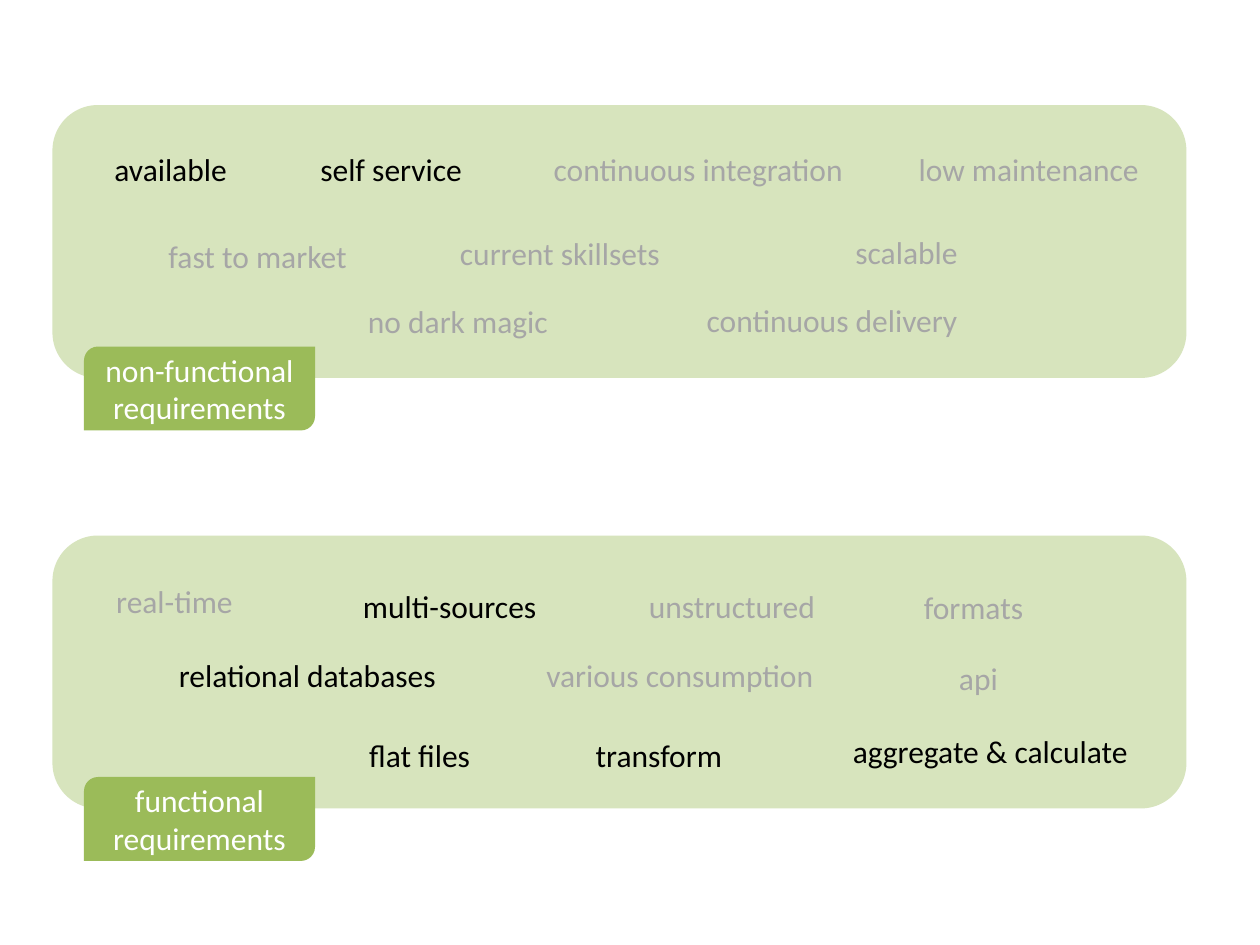
from pptx import Presentation
from pptx.dml.color import RGBColor
from pptx.enum import shapes, text
from pptx.util import Pt

PANEL_FILL, TAG_FILL = "D7E4BD", "9BBB59"
ACTIVE, MUTED, WHITE = "000000", "A6A6A6", "FFFFFF"

PANEL_LEFT, PANEL_WIDTH, PANEL_HEIGHT = 30, 648, 156
TAG_LEFT, TAG_TOP, TAG_WIDTH, TAG_HEIGHT = 18, 138, 132, 48
TERM_HEIGHT = 29

# Each term: wording, left and top within its panel, width, colour
NON_FUNCTIONAL = [
    ("available", 4.5, 22, 126, ACTIVE),
    ("self service", 130.5, 22, 126, ACTIVE),
    ("continuous integration", 270, 22, 198, MUTED),
    ("low maintenance", 476.2, 22, 163.4, MUTED),
    ("fast to market", 54.2, 71.8, 126, MUTED),
    ("current skillsets", 191, 70.3, 198, MUTED),
    ("scalable", 389, 69.6, 198, MUTED),
    ("no dark magic", 150, 109.2, 163.4, MUTED),
    ("continuous delivery", 346.5, 108.5, 198, MUTED),
]
FUNCTIONAL = [
    ("real-time", 6.7, 23, 126, MUTED),
    ("multi-sources", 138.5, 26, 177, ACTIVE),
    ("unstructured", 281, 26, 214.5, MUTED),
    ("formats", 461.8, 26.6, 129, MUTED),
    ("relational databases", 38.4, 65.5, 214.5, ACTIVE),
    ("various consumption", 270, 65.5, 177, MUTED),
    ("api", 464.6, 67, 129, MUTED),
    ("flat files", 155.8, 110.9, 108, ACTIVE),
    ("transform", 258, 110.9, 177, ACTIVE),
    ("aggregate & calculate", 447.4, 108.7, 177, ACTIVE),
]


def rgb(colour):
    return RGBColor.from_string(colour)


def write(shape, wording, colour):
    frame = shape.text_frame
    frame.word_wrap = True
    frame.text = wording
    paragraph = frame.paragraphs[0]
    paragraph.alignment = text.PP_ALIGN.CENTER
    font = paragraph.runs[0].font
    font.name, font.size = "Calibri", Pt(18)
    font.color.rgb = rgb(colour)


def add_block(slide, preset, left, top, width, height, fill):
    block = slide.shapes.add_shape(preset, Pt(left), Pt(top), Pt(width), Pt(height))
    block.shadow.inherit = False
    block.fill.solid()
    block.fill.fore_color.rgb = rgb(fill)
    block.line.fill.background()
    return block


def add_term(slide, wording, left, top, width, colour):
    term = slide.shapes.add_textbox(Pt(left), Pt(top), Pt(width), Pt(TERM_HEIGHT))
    write(term, wording, colour)
    term.text_frame.auto_size = text.MSO_AUTO_SIZE.SHAPE_TO_FIT_TEXT


def add_requirements(slide, left, top, width, height, label, terms):
    """Place a panel with its label tag and scattered terms."""
    preset = shapes.MSO_SHAPE
    add_block(slide, preset.ROUNDED_RECTANGLE, left, top, width, height, PANEL_FILL)
    tag = add_block(slide, preset.ROUND_2_DIAG_RECTANGLE, left + TAG_LEFT,
                    top + TAG_TOP, TAG_WIDTH, TAG_HEIGHT, TAG_FILL)
    write(tag, label, WHITE)
    tag.text_frame.vertical_anchor = text.MSO_ANCHOR.MIDDLE
    for wording, term_left, term_top, term_width, colour in terms:
        add_term(slide, wording, left + term_left, top + term_top, term_width, colour)


def main():
    deck = Presentation()
    deck.slide_width, deck.slide_height = Pt(720), Pt(540)
    slide = deck.slides.add_slide(deck.slide_layouts[6])
    for top, label, terms in (
        (60, "non-functional requirements", NON_FUNCTIONAL),
        (306, "functional requirements", FUNCTIONAL),
    ):
        add_requirements(slide, PANEL_LEFT, top, PANEL_WIDTH, PANEL_HEIGHT, label, terms)
    deck.save("out.pptx")


if __name__ == "__main__":
    main()
